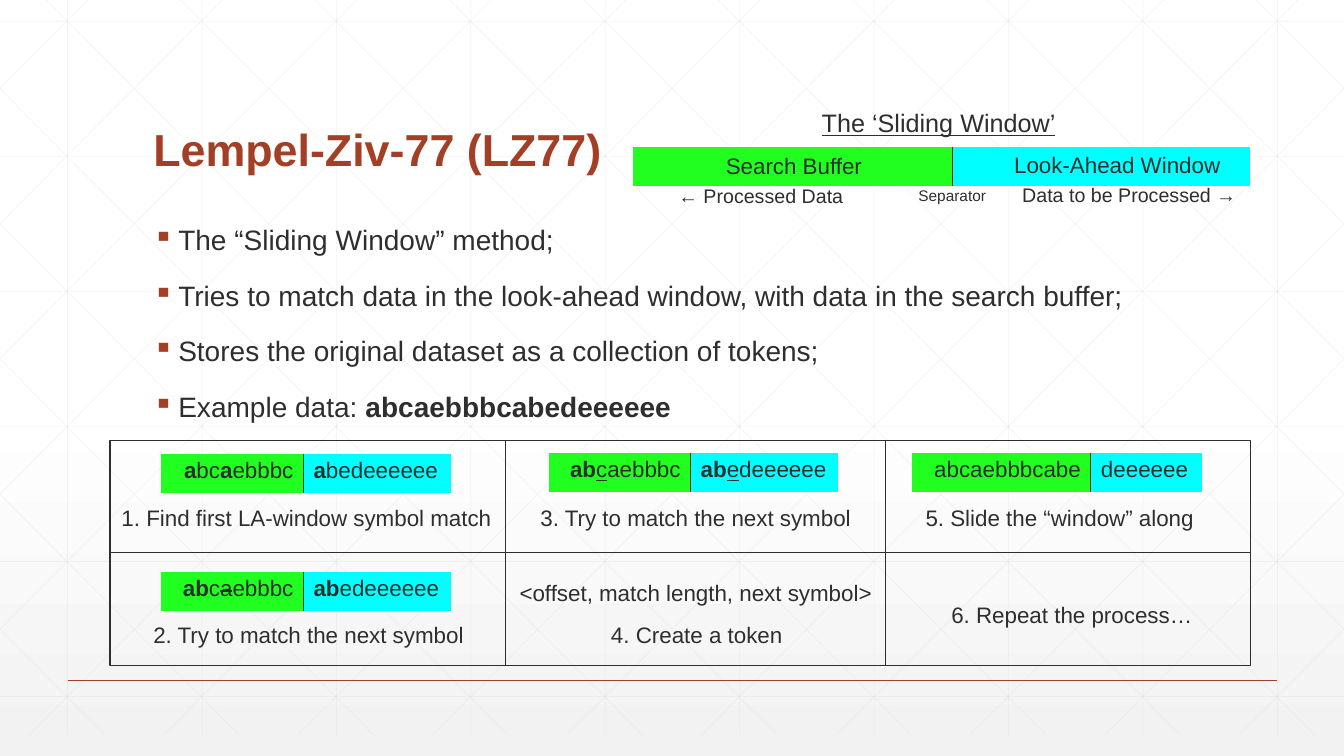
from dataclasses import dataclass

from lxml.etree import SubElement
from pptx import Presentation
from pptx.dml.color import RGBColor
from pptx.enum.shapes import MSO_CONNECTOR, MSO_SHAPE
from pptx.enum.text import MSO_ANCHOR, PP_ALIGN
from pptx.oxml import parse_xml
from pptx.oxml.ns import nsdecls, qn
from pptx.util import Inches, Pt

COLOURS = {
    "ink": "2D2E2D", "rust": "A43F27", "grid": "D9D9D9", "white": "FFFFFF",
    "shade": "F2F2F2", "search": "21FF21", "ahead": "00FFFF",
}
FONT = "Arial"
WIDTH, HEIGHT = 13.33, 7.5
NO_STYLE = "{2D5ABB26-0587-4C30-8999-92F81FD0307C}"

# A run is its text and its style letters: b bold, u underlined, s struck
Run = tuple[str, str]


@dataclass
class Window:
    """A search buffer and a look-ahead window, side by side."""
    left: float
    top: float
    search_width: float
    ahead_width: float
    search: list[Run]
    ahead: list[Run]


@dataclass
class Label:
    text: str
    left: float
    top: float
    width: float = 3.92
    height: float = 0.37
    size: int = 16
    align: PP_ALIGN = PP_ALIGN.CENTER
    underline: bool = False


WINDOWS = [
    Window(6.28, 1.46, 3.17, 2.95, [], []),
    Window(1.6, 4.5, 1.41, 1.46,
           [("a", "b"), ("bc", ""), ("a", "b"), ("ebbbc", "")],
           [("a", "b"), ("bedeeeeee", "")]),
    Window(1.6, 5.67, 1.41, 1.46,
           [("ab", "b"), ("c", ""), ("a", "s"), ("ebbbc", "")],
           [("ab", "b"), ("edeeeeee", "")]),
    Window(5.44, 4.49, 1.41, 1.46,
           [("ab", "b"), ("c", "u"), ("aebbbc", "")],
           [("ab", "b"), ("e", "u"), ("deeeeee", "")]),
    Window(9.05, 4.49, 1.77, 1.1, [("abcaebbbcabe", "")], [("deeeeee", "")]),
]
LABELS = [
    Label("Search Buffer", 7.1, 1.46, 2.45, align=PP_ALIGN.LEFT),
    Label("Look-Ahead Window", 9.96, 1.45, 2.83, align=PP_ALIGN.LEFT),
    Label("← Processed Data", 6.63, 1.78, 2.45, 0.34, 14, PP_ALIGN.LEFT),
    Label("Data to be Processed →", 10.04, 1.77, 2.84, 0.34, 14, PP_ALIGN.LEFT),
    Label("The ‘Sliding Window’", 7.71, 1.02, 3.2, 0.4, 18, underline=True),
    Label("Separator", 9.01, 1.8, 2.45, 0.29, 11, PP_ALIGN.LEFT),
    Label("1. Find first LA-window symbol match", 1.08, 4.95),
    Label("2. Try to match the next symbol", 1.1, 6.11),
    Label("3. Try to match the next symbol", 4.94, 4.95),
    Label("4. Create a token", 4.95, 6.11),
    Label("<offset, match length, next symbol>", 4.94, 5.7),
    Label("5. Slide the “window” along", 8.55, 4.95),
    Label("6. Repeat the process…", 8.67, 5.91),
]
POINTS: list[list[Run]] = [
    [("The “Sliding Window” method;", "")],
    [("Tries to match data in the look-ahead window, with data in the search buffer;", "")],
    [("Stores the original dataset as a collection of tokens;", "")],
    [("Example data: ", ""), ("abcaebbbcabedeeeeee", "b")],
]


def rgb(name: str) -> RGBColor:
    return RGBColor.from_string(COLOURS[name])


def set_font(paragraph, size: int, colour: str = "ink") -> None:
    paragraph.font.name = FONT
    paragraph.font.size = Pt(size)
    paragraph.font.color.rgb = rgb(colour)


def add_runs(paragraph, runs: list[Run]) -> None:
    for text, style in runs:
        run = paragraph.add_run()
        run.text = text
        if "b" in style:
            run.font.bold = True
        if "u" in style:
            run.font.underline = True
        if "s" in style:
            run._r.get_or_add_rPr().set("strike", "sngStrike")


def add_line(slide, x1: float, y1: float, x2: float, y2: float,
             colour: str = "ink", weight: float = 0.5, opacity: int = 100):
    line = slide.shapes.add_connector(
        MSO_CONNECTOR.STRAIGHT, Inches(x1), Inches(y1), Inches(x2), Inches(y2))
    line.line.color.rgb = rgb(colour)
    line.line.width = Pt(weight)
    properties = line.element.spPr
    if opacity < 100:
        colour_element = next(properties.iter(qn("a:srgbClr")))
        SubElement(colour_element, qn("a:alpha")).set("val", str(opacity * 1000))
    SubElement(properties, qn("a:effectLst"))
    return line


def add_grid(slide) -> None:
    top, bottom, step, run = -0.21, 7.29, 4 / 3, 7.455
    slope = (bottom - top) / run
    grid = ("grid", 0.5, 25)
    for i in range(10):
        x = 0.67 + i * step
        add_line(slide, x, top, x, bottom, *grid)
    for i in range(6):
        y = 0.21 + i * 1.34
        add_line(slide, 0, y, WIDTH, y, *grid)
    # Diagonals are cut at the slide's sides, then mirrored
    for i in range(-5, 10):
        start = 0.25 + i * step
        x1, x2 = max(start, 0), min(start + run, WIDTH)
        y1, y2 = (top + (x - start) * slope for x in (x1, x2))
        add_line(slide, x1, y1, x2, y2, *grid)
        add_line(slide, WIDTH - x1, y1, WIDTH - x2, y2, *grid)


def add_window(slide, window: Window) -> None:
    table = slide.shapes.add_table(
        1, 2, Inches(window.left), Inches(window.top),
        Inches(window.search_width + window.ahead_width), Inches(0.39)).table
    table.first_row = table.horz_banding = False
    table._tbl.tblPr.find(qn("a:tableStyleId")).text = NO_STYLE
    halves = [
        (window.search_width, window.search, "search", PP_ALIGN.RIGHT, "lnR"),
        (window.ahead_width, window.ahead, "ahead", PP_ALIGN.LEFT, "lnL"),
    ]
    for i, (width, runs, fill, align, edge) in enumerate(halves):
        table.columns[i].width = Inches(width)
        cell = table.cell(0, i)
        cell.fill.solid()
        cell.fill.fore_color.rgb = rgb(fill)
        paragraph = cell.text_frame.paragraphs[0]
        paragraph.alignment = align
        set_font(paragraph, 16)
        add_runs(paragraph, runs)
        cell._tc.get_or_add_tcPr().insert(0, parse_xml(
            f'<a:{edge} {nsdecls("a")} w="12700"><a:solidFill>'
            f'<a:srgbClr val="{COLOURS["ink"]}"/></a:solidFill></a:{edge}>'))


def add_text_box(slide, left: float, top: float, width: float, height: float):
    frame = slide.shapes.add_textbox(
        Inches(left), Inches(top), Inches(width), Inches(height)).text_frame
    frame.word_wrap = True
    return frame


def add_label(slide, label: Label) -> None:
    frame = add_text_box(slide, label.left, label.top, label.width, label.height)
    paragraph = frame.paragraphs[0]
    paragraph.text = label.text
    paragraph.alignment = label.align
    set_font(paragraph, label.size)
    if label.underline:
        paragraph.font.underline = True


def add_points(slide) -> None:
    frame = add_text_box(slide, 1.42, 2.2, 10.5, 4.3)
    for i, runs in enumerate(POINTS):
        paragraph = frame.add_paragraph() if i else frame.paragraphs[0]
        paragraph.line_spacing = 0.9
        paragraph.space_before = Pt(18)
        set_font(paragraph, 20)
        add_runs(paragraph, runs)
        properties = paragraph._p.get_or_add_pPr()
        properties.set("marL", str(Inches(0.25)))
        properties.set("indent", str(-Inches(0.25)))
        bullet = (f'<a:buClr {nsdecls("a")}><a:srgbClr val="{COLOURS["rust"]}"/></a:buClr>',
                  f'<a:buChar {nsdecls("a")} char="▪"/>')
        for at, xml in enumerate(bullet, start=2):
            properties.insert(at, parse_xml(xml))


def set_title(slide) -> None:
    title = slide.shapes.title
    title.left, title.top = Inches(1.42), Inches(0.55)
    title.width, title.height = Inches(10.5), Inches(1.25)
    title.text_frame.vertical_anchor = MSO_ANCHOR.BOTTOM
    paragraph = title.text_frame.paragraphs[0]
    paragraph.text = "Lempel-Ziv-77 (LZ77)"
    paragraph.alignment = PP_ALIGN.LEFT
    paragraph.line_spacing = 0.9
    set_font(paragraph, 32, "rust")
    paragraph.font.bold = True
    # Bring the title in front of the grid
    title.element.getparent().append(title.element)


def add_steps_frame(slide) -> None:
    left, top, width, height = 1.09, 4.37, 11.31, 2.23
    frame = slide.shapes.add_shape(
        MSO_SHAPE.RECTANGLE, Inches(left), Inches(top), Inches(width), Inches(height))
    frame.shadow.inherit = False
    frame.fill.background()
    frame.line.color.rgb = rgb("ink")
    frame.line.width = Pt(1)
    for x in (5.01, 8.78):
        add_line(slide, x, top, x, top + height)
    middle = top + height / 2
    row_divider = add_line(slide, left, middle, left + width, middle)
    row_divider.begin_connect(frame, 1)
    row_divider.end_connect(frame, 3)


def main() -> None:
    deck = Presentation()
    deck.slide_width, deck.slide_height = Inches(WIDTH), Inches(HEIGHT)
    slide = deck.slides.add_slide(deck.slide_layouts[5])

    # Background
    background = slide.background.fill
    background.gradient()
    background.gradient_angle = 270
    for stop, position, name in zip(background.gradient_stops, (0.53, 1), ("white", "shade")):
        stop.position = position
        stop.color.rgb = rgb(name)
    add_grid(slide)
    add_line(slide, 0.67, 6.75, 12.67, 6.75, "rust", 1)

    # Content
    set_title(slide)
    add_points(slide)
    for window in WINDOWS:
        add_window(slide, window)
    add_steps_frame(slide)
    for label in LABELS:
        add_label(slide, label)
    deck.save("out.pptx")


if __name__ == "__main__":
    main()
